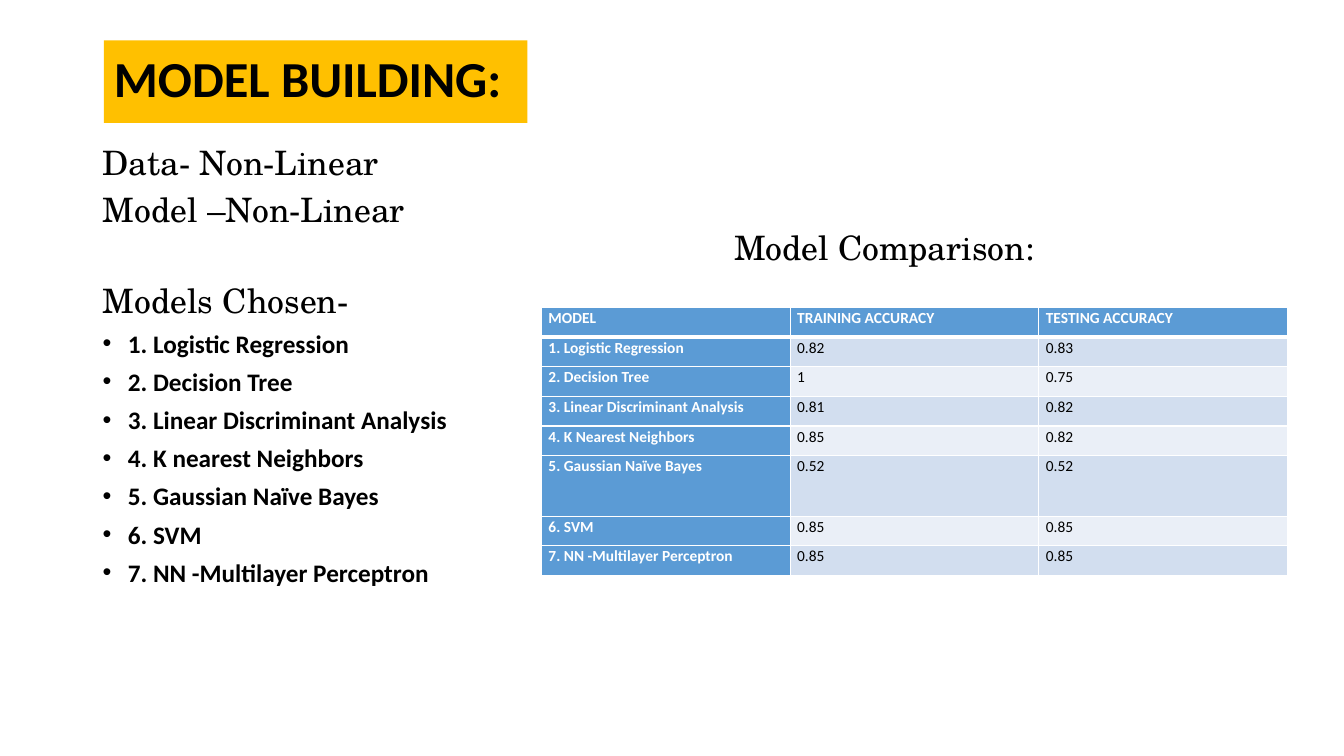
from lxml import etree
from pptx import Presentation
from pptx.dml.color import RGBColor
from pptx.enum.text import MSO_ANCHOR, MSO_AUTO_SIZE, PP_ALIGN
from pptx.oxml.ns import qn
from pptx.util import Inches, Pt

LEFT, MIDDLE, NO_FIT = PP_ALIGN.LEFT, MSO_ANCHOR.MIDDLE, MSO_AUTO_SIZE.NONE
COLORS = {"gold": "FFC000", "black": "000000", "white": "FFFFFF",
          "blue": "5B9BD5", "band": "D2DEEF", "light": "EAEFF7"}
SANS, SERIF = "Calibri", "TeX Gyre Schola"

INTRO = [("Data- Non-Linear", 0), ("Model –Non-Linear", 10), ("Models Chosen-", 42)]
CHOSEN = ["1. Logistic Regression", "2. Decision Tree",
          "3. Linear Discriminant Analysis", "4. K nearest Neighbors",
          "5. Gaussian Naïve Bayes", "6. SVM", "7. NN -Multilayer Perceptron"]
ACCURACY = [
    ("MODEL", "TRAINING ACCURACY", "TESTING ACCURACY"),
    ("1. Logistic Regression", "0.82", "0.83"),
    ("2. Decision Tree", "1", "0.75"),
    ("3. Linear Discriminant Analysis", "0.81", "0.82"),
    ("4. K Nearest Neighbors", "0.85", "0.82"),
    ("5. Gaussian Naïve Bayes", "0.52", "0.52"),
    ("6. SVM", "0.85", "0.85"),
    ("7. NN -Multilayer Perceptron", "0.85", "0.85"),
]
TALL_ROW, TALL_HEIGHT = 5, 0.6


def rgb(name):
    return RGBColor.from_string(COLORS[name])


def write(p, text, size, font, color="black", bold=False, spacing=0.9, before=0):
    p.text = text
    p.alignment = LEFT
    p.line_spacing = spacing
    p.space_before = Pt(before)
    for r in p.runs:
        r.font.size = Pt(size)
        r.font.name = font
        r.font.bold = bold
        r.font.color.rgb = rgb(color)


def add_bullet(p):
    pPr = p._p.get_or_add_pPr()
    pPr.set("marL", str(Inches(0.25)))
    pPr.set("indent", str(-Inches(0.25)))
    etree.SubElement(pPr, qn("a:buFont")).set("typeface", "Arial")
    etree.SubElement(pPr, qn("a:buChar")).set("char", "•")


def set_borders(cell, bottom=1, top=1):
    tcPr = cell._tc.get_or_add_tcPr()
    widths = {"a:lnL": 1, "a:lnR": 1, "a:lnT": top, "a:lnB": bottom}
    for i, (tag, width) in enumerate(widths.items()):
        ln = etree.Element(qn(tag), w=str(Pt(width)))
        fill = etree.SubElement(ln, qn("a:solidFill"))
        etree.SubElement(fill, qn("a:srgbClr")).set("val", COLORS["white"])
        tcPr.insert(i, ln)


def add_text_box(s, x, y, w, h):
    tf = s.shapes.add_textbox(Inches(x), Inches(y), Inches(w), Inches(h)).text_frame
    tf.word_wrap = True
    return tf


def add_title(s, x, y, w, h):
    sp = s.shapes.title
    sp.left, sp.top, sp.width, sp.height = (Inches(v) for v in (x, y, w, h))
    sp.fill.solid()
    sp.fill.fore_color.rgb = rgb("gold")
    tf = sp.text_frame
    tf.auto_size = NO_FIT
    tf.vertical_anchor = MIDDLE
    write(tf.paragraphs[0], "MODEL BUILDING:", 36, SANS, bold=True)


def add_model_list(s, x, y, w, h):
    tf = add_text_box(s, x, y, w, h)
    for i, (text, before) in enumerate(INTRO):
        p = tf.add_paragraph() if i else tf.paragraphs[0]
        write(p, text, 24, SERIF, spacing=0.8, before=before)
    for text in CHOSEN:
        p = tf.add_paragraph()
        write(p, text, 18, SANS, bold=True, spacing=0.8, before=10)
        add_bullet(p)


def add_table_heading(s, x, y, w, h):
    tf = add_text_box(s, x, y, w, h)
    tf.margin_left = Inches(0.19)
    write(tf.paragraphs[0], "Model Comparison:", 24, SERIF)


def add_accuracy_table(s, x, y, w, h):
    n_rows, n_cols = len(ACCURACY), len(ACCURACY[0])
    table = s.shapes.add_table(n_rows, n_cols, Inches(x), Inches(y),
                               Inches(w), Inches(h)).table
    table.first_col = True
    for col in table.columns:
        col.width = Inches(w / n_cols)
    for i, values in enumerate(ACCURACY):
        table.rows[i].height = Inches(
            TALL_HEIGHT if i == TALL_ROW else (h - TALL_HEIGHT) / (n_rows - 1))
        for j, text in enumerate(values):
            cell = table.cell(i, j)
            cell.margin_left = cell.margin_right = Inches(0.07)
            cell.margin_top = cell.margin_bottom = 0
            header = i == 0 or j == 0
            cell.fill.solid()
            cell.fill.fore_color.rgb = rgb(
                "blue" if header else "band" if i % 2 else "light")
            write(cell.text_frame.paragraphs[0], text, 11, SANS,
                  "white" if header else "black", header, 1.07)
            set_borders(cell, bottom=3 if i == 0 else 1, top=3 if i == 1 else 1)


def main():
    prs = Presentation()
    prs.slide_width, prs.slide_height = Inches(13.33), Inches(7.5)
    s = prs.slides.add_slide(prs.slide_layouts[5])
    add_title(s, 1.03, 0.4, 4.2, 0.82)
    add_model_list(s, 0.92, 1.44, 4.49, 4.49)
    add_accuracy_table(s, 5.37, 3.05, 7.4, 2.66)
    add_table_heading(s, 7.09, 2.25, 4.49, 0.87)
    prs.save("out.pptx")


if __name__ == "__main__":
    main()
